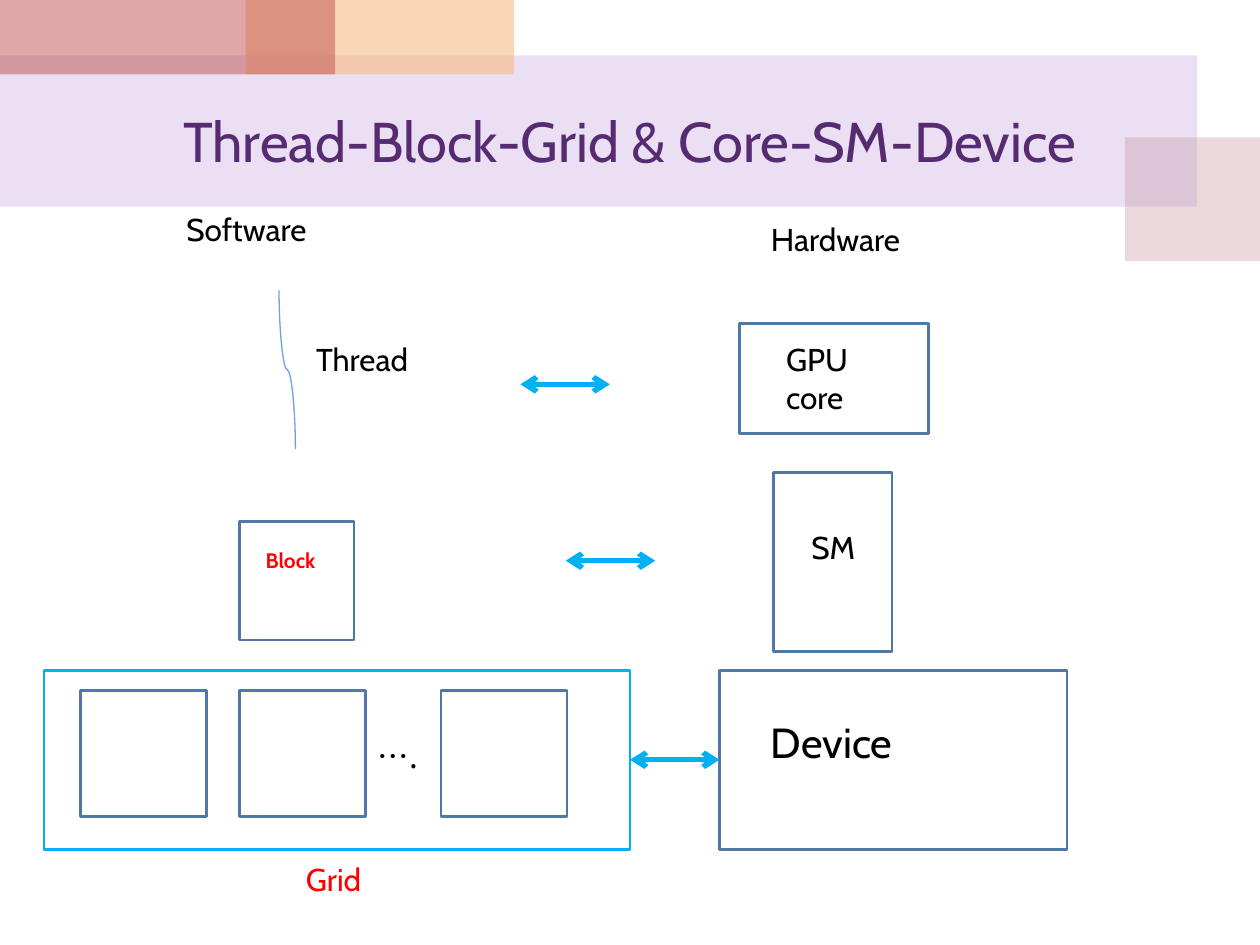
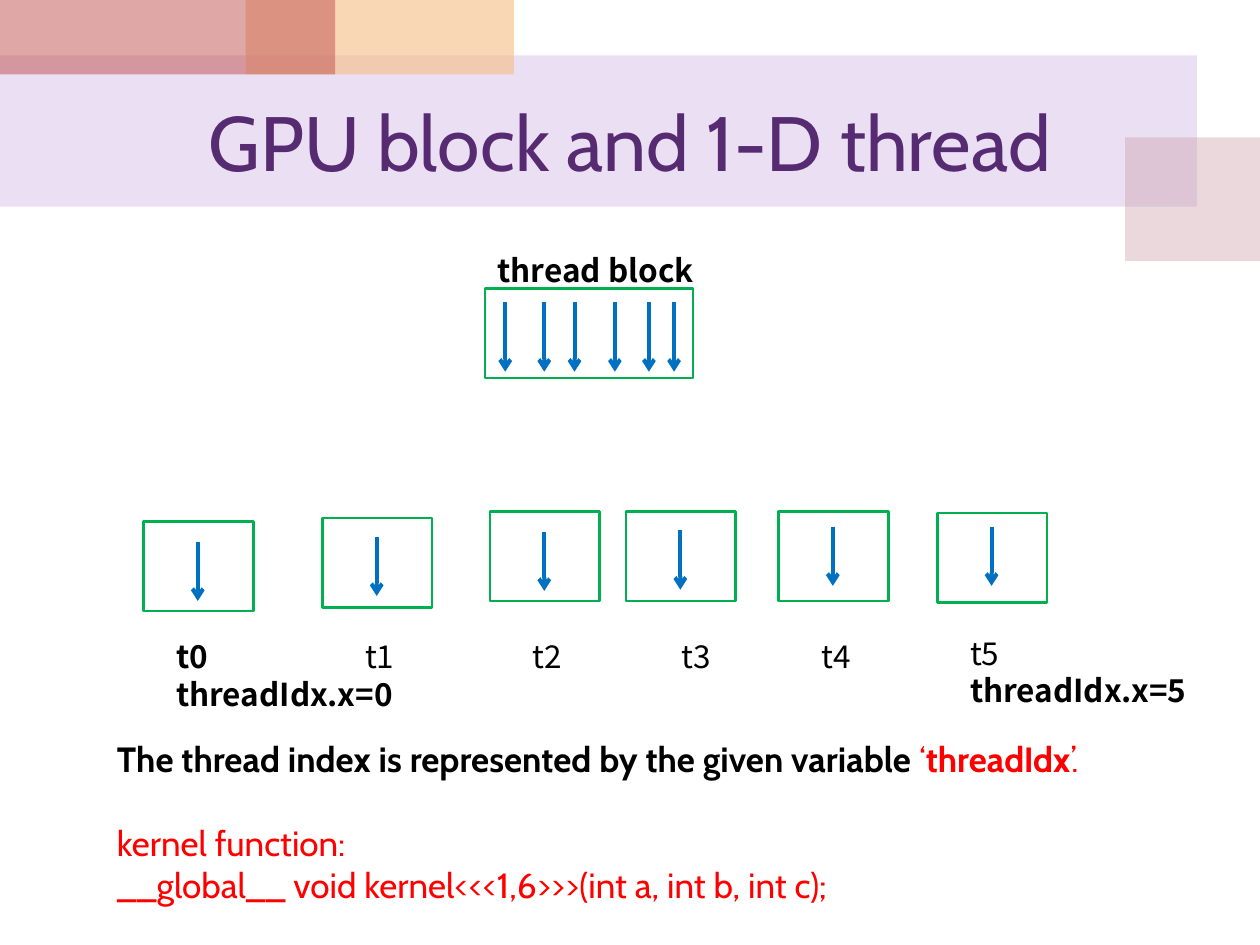
from dataclasses import dataclass

from lxml import etree
from pptx import Presentation
from pptx import util as u
from pptx.dml.color import RGBColor
from pptx.enum import shapes, text
from pptx.oxml import ns

CABIN = "Cabin"
NOTO = "Noto Sans CJK KR"
BLACK = "000000"
RED = "FF0000"
TITLE_PURPLE = "562B71"
STEEL = "4F78A5"
SKY = "00B0F0"
GREEN = "00B050"
BLUE = "0070C0"
CURVE_BLUE = "6BA2DF"


@dataclass(frozen=True)
class Box:
    left: float
    top: float
    width: float
    height: float

    def lengths(self):
        return [u.Inches(side) for side in (self.left, self.top, self.width, self.height)]


@dataclass(frozen=True)
class Band:
    box: Box
    color: str
    opacity: int


@dataclass(frozen=True)
class Run:
    words: str
    color: str = BLACK
    bold: bool = False


@dataclass(frozen=True)
class Label:
    box: Box
    paragraphs: tuple[tuple[Run, ...], ...]
    size: int = 18
    font: str = CABIN


@dataclass(frozen=True)
class ThreadCell:
    left: float
    top: float
    arrow_top: float
    label: Label


BANDS = (
    Band(Box(0, 0.44, 9.5, 1.2), "BF98D8", 30),
    Band(Box(8.93, 1.09, 1.07, 0.98), "CC9EAC", 40),
    Band(Box(1.95, 0, 2.13, 0.59), "F5BC83", 60),
    Band(Box(0, 0, 2.66, 0.59), "C0504D", 50),
)
TITLE_BOX = Box(0.5, 0.59, 9, 1.05)


def line_of(words: str, color: str = BLACK, bold: bool = False) -> tuple[Run, ...]:
    return (Run(words, color, bold),)


def rgb(color: str) -> RGBColor:
    return RGBColor.from_string(color)


def apply(target, values: dict) -> None:
    for name, value in values.items():
        setattr(target, name, value)


def add_child(parent, tag: str, **attributes: str):
    return etree.SubElement(parent, ns.qn(tag), attributes)


def draw_band(slide, band: Band) -> None:
    shape = slide.shapes.add_shape(shapes.MSO_SHAPE.RECTANGLE, *band.box.lengths())
    shape.shadow.inherit = False
    shape.fill.solid()
    shape.fill.fore_color.rgb = rgb(band.color)
    shape.line.fill.background()
    color = shape.element.spPr.find(ns.qn("a:solidFill"))[0]
    add_child(color, "a:alpha", val=str(band.opacity * 1000))


def draw_outline(slide, box: Box, color: str):
    shape = slide.shapes.add_shape(shapes.MSO_SHAPE.RECTANGLE, *box.lengths())
    shape.shadow.inherit = False
    shape.fill.background()
    shape.line.color.rgb = rgb(color)
    shape.line.width = u.Pt(1.5)
    return shape


def draw_connector(slide, kind, start: tuple[float, float], end: tuple[float, float],
                   color: str, width: float, ends: tuple[str, ...] = ()):
    points = [u.Inches(value) for value in (*start, *end)]
    connector = slide.shapes.add_connector(kind, *points)
    connector.line.width = u.Pt(width)
    connector.line.color.rgb = rgb(color)
    outline = connector.element.spPr.find(ns.qn("a:ln"))
    for tag in ends:
        add_child(outline, tag, type="arrow")
    add_child(connector.element.spPr, "a:effectLst")
    return connector


def draw_link(slide, left: float, right: float, y: float):
    return draw_connector(slide, shapes.MSO_CONNECTOR.STRAIGHT, (left, y), (right, y),
                          SKY, 3, ("a:headEnd", "a:tailEnd"))


def draw_thread_arrow(slide, x: float, top: float, length: float) -> None:
    draw_connector(slide, shapes.MSO_CONNECTOR.STRAIGHT, (x, top), (x, top + length),
                   BLUE, 2.25, ("a:tailEnd",))


def draw_label(slide, label: Label):
    frame = slide.shapes.add_textbox(*label.box.lengths()).text_frame
    apply(frame, {"word_wrap": True, "auto_size": text.MSO_AUTO_SIZE.SHAPE_TO_FIT_TEXT})
    for index, runs in enumerate(label.paragraphs):
        paragraph = frame.add_paragraph() if index else frame.paragraphs[0]
        for part in runs:
            run = paragraph.add_run()
            run.text = part.words
            run.font.color.rgb = rgb(part.color)
            apply(run.font, {"size": u.Pt(label.size), "name": label.font, "bold": part.bold})
            add_child(run.font._element, "a:ea", typeface=label.font)
    return frame


def add_titled_slide(presentation, title: str, size: int):
    slide = presentation.slides.add_slide(presentation.slide_layouts[6])
    for band in BANDS:
        draw_band(slide, band)
    frame = draw_label(slide, Label(TITLE_BOX, (line_of(title, TITLE_PURPLE),), size))
    apply(frame, {"auto_size": text.MSO_AUTO_SIZE.NONE,
                  "vertical_anchor": text.MSO_ANCHOR.MIDDLE})
    frame.paragraphs[0].alignment = text.PP_ALIGN.CENTER
    return slide


def build_mapping_slide(presentation) -> None:
    slide = add_titled_slide(presentation, "Thread-Block-Grid & Core-SM-Device", 32)
    thread_curve = draw_connector(slide, shapes.MSO_CONNECTOR.CURVE, (2.91, 2.87),
                                  (1.65, 3), CURVE_BLUE, 0.75)
    thread_curve.element.spPr.find(ns.qn("a:xfrm")).set("rot", str(270 * 60000))

    block = Box(1.9, 4.14, 0.91, 0.94)
    grid_blocks = [Box(left, 5.48, 1, 1) for left in (0.64, 1.9, 3.5)]
    gpu_core = Box(5.87, 2.57, 1.5, 0.87)
    multiprocessor = Box(6.14, 3.75, 0.94, 1.42)
    for box in (block, *grid_blocks, gpu_core, multiprocessor):
        draw_outline(slide, box, STEEL)
    grid = draw_outline(slide, Box(0.35, 5.32, 4.65, 1.42), SKY)
    device = draw_outline(slide, Box(5.71, 5.32, 2.76, 1.42), STEEL)

    labels = (
        Label(Box(2.01, 4.3, 0.8, 0.3), (line_of("Block", RED, True),), 12),
        Label(Box(2.9, 5.8, 0.69, 0.4), (line_of("…."),), font=NOTO),
        Label(Box(2.33, 6.78, 1.81, 0.4), (line_of("Grid", RED),)),
        Label(Box(1.38, 1.62, 1.85, 0.4), (line_of("Software"),)),
        Label(Box(6.02, 1.7, 1.42, 0.4), (line_of("Hardware"),)),
        Label(Box(6.14, 2.65, 0.94, 0.71), (line_of("GPU core"),)),
        Label(Box(6.34, 4.14, 0.55, 0.4), (line_of("SM"),)),
        Label(Box(6.02, 5.64, 2.05, 0.5), (line_of("Device"),), 24),
        Label(Box(2.41, 2.65, 1.18, 0.4), (line_of("Thread"),)),
    )
    for label in labels:
        draw_label(slide, label)

    draw_link(slide, 4.13, 4.84, 3.05)
    draw_link(slide, 4.49, 5.2, 4.45)
    grid_to_device = draw_link(slide, 5, 5.71, 6.03)
    grid_to_device.begin_connect(grid, 3)
    grid_to_device.end_connect(device, 1)


def thread_label(left: float, top: float, width: float, *lines: tuple[Run, ...]) -> Label:
    return Label(Box(left, top, width, 0.71 if len(lines) > 1 else 0.4), lines, font=NOTO)


def build_thread_slide(presentation) -> None:
    slide = add_titled_slide(presentation, "GPU block and 1-D thread", 44)
    draw_outline(slide, Box(3.85, 2.29, 1.65, 0.71), GREEN)
    for x in (4.01, 4.32, 4.56, 4.88, 5.15, 5.35):
        draw_thread_arrow(slide, x, 2.4, 0.55)
    draw_label(slide, thread_label(3.85, 1.94, 2.25, line_of("thread block", bold=True)))

    cells = (
        ThreadCell(1.14, 4.14, 4.3, thread_label(
            1.3, 5.01, 1.97, line_of("t0", bold=True), line_of("threadIdx.x=0", bold=True))),
        ThreadCell(2.56, 4.11, 4.26, thread_label(2.8, 5.01, 0.87, line_of("t1"))),
        ThreadCell(3.89, 4.06, 4.22, thread_label(4.13, 5.01, 0.74, line_of("t2"))),
        ThreadCell(4.97, 4.06, 4.21, thread_label(5.31, 5.01, 0.47, line_of("t3"))),
        ThreadCell(6.18, 4.06, 4.18, thread_label(6.42, 5.01, 0.55, line_of("t4"))),
        ThreadCell(7.44, 4.07, 4.18, thread_label(
            7.6, 4.98, 2.05, line_of("t5"), line_of("threadIdx.x=5", bold=True))),
    )
    for cell in cells:
        draw_outline(slide, Box(cell.left, cell.top, 0.87, 0.71), GREEN)
        draw_thread_arrow(slide, cell.left + 0.43, cell.arrow_top, 0.47)
        draw_label(slide, cell.label)

    explanation = (
        (Run("The thread index is represented by the given variable ", bold=True),
         Run("‘", RED), Run("threadIdx", RED, True), Run("’.", RED)),
        line_of("kernel function:", RED),
        line_of("__global__ void kernel<<<1,6>>>(int a, int b, int c);", RED),
    )
    frame = draw_label(slide, Label(Box(0.83, 5.8, 8.35, 1.45), explanation, 20))
    frame.paragraphs[1].space_before = u.Pt(24)


def main() -> None:
    presentation = Presentation()
    apply(presentation, {"slide_width": u.Inches(10), "slide_height": u.Inches(7.5)})
    build_mapping_slide(presentation)
    build_thread_slide(presentation)
    presentation.save("out.pptx")


if __name__ == "__main__":
    main()
